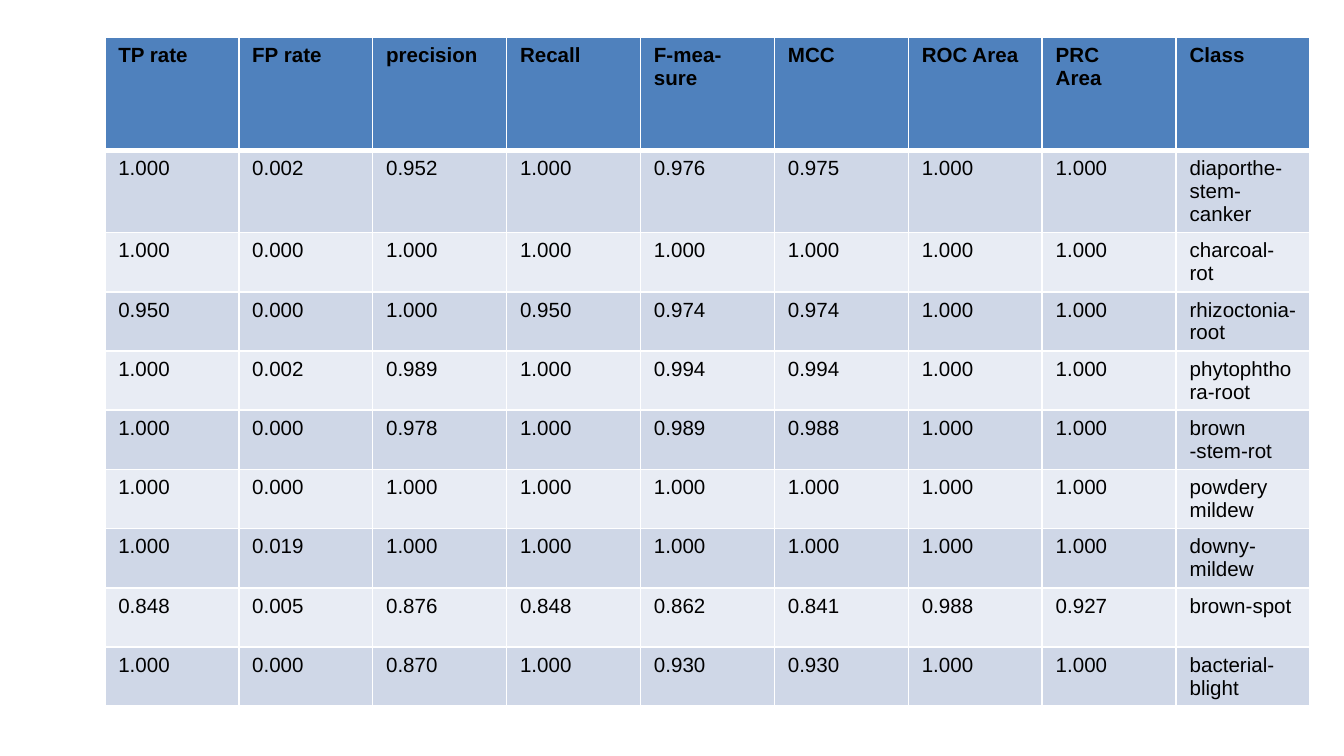
from lxml.etree import SubElement
from pptx import Presentation
from pptx.dml.color import RGBColor as Color
from pptx.oxml.ns import qn
from pptx.util import Inches, Pt

COLORS = {"header": "4F81BD", "odd": "CFD7E7", "even": "E8ECF4",
          "border": "FFFFFF", "text": "000000"}
HEADINGS = ["TP rate", "FP rate", "precision", "Recall", "F-mea-\nsure",
            "MCC", "ROC Area", "PRC\nArea", "Class"]
RESULTS = [
    ("1.000 0.002 0.952 1.000 0.976 0.975 1.000 1.000", "diaporthe-stem-canker"),
    ("1.000 0.000 1.000 1.000 1.000 1.000 1.000 1.000", "charcoal-rot"),
    ("0.950 0.000 1.000 0.950 0.974 0.974 1.000 1.000", "rhizoctonia-root"),
    ("1.000 0.002 0.989 1.000 0.994 0.994 1.000 1.000", "phytophthora-root"),
    ("1.000 0.000 0.978 1.000 0.989 0.988 1.000 1.000", "brown -stem-rot"),
    ("1.000 0.000 1.000 1.000 1.000 1.000 1.000 1.000", "powdery mildew"),
    ("1.000 0.019 1.000 1.000 1.000 1.000 1.000 1.000", "downy-mildew"),
    ("0.848 0.005 0.876 0.848 0.862 0.841 0.988 0.927", "brown-spot"),
    ("1.000 0.000 0.870 1.000 0.930 0.930 1.000 1.000", "bacterial-blight"),
]
rows = [HEADINGS] + [[*rates.split(), name] for rates, name in RESULTS]

SLIDE_WIDTH = 10
SLIDE_HEIGHT = SLIDE_WIDTH * 9 / 16
HEADER_HEIGHT, ROW_HEIGHT = 0.84, 0.44
TABLE_WIDTH = 8.97
TABLE_HEIGHT = HEADER_HEIGHT + ROW_HEIGHT * len(RESULTS)
THIN, THICK = Pt(1), Pt(3)


def set_borders(cell, widths):
    """Draw the cell's edges; must run before the fill is set."""
    properties = cell._tc.get_or_add_tcPr()
    for edge in ("lnL", "lnR", "lnT", "lnB"):
        line = SubElement(properties, qn(f"a:{edge}"), w=str(widths.get(edge, THIN)))
        fill = SubElement(line, qn("a:solidFill"))
        SubElement(fill, qn("a:srgbClr"), val=COLORS["border"])


presentation = Presentation()
presentation.slide_width = Inches(SLIDE_WIDTH)
presentation.slide_height = Inches(SLIDE_HEIGHT)
slide = presentation.slides.add_slide(presentation.slide_layouts[6])

table = slide.shapes.add_table(
    len(rows), len(HEADINGS), Inches(0.78), Inches(0.28),
    Inches(TABLE_WIDTH), Inches(TABLE_HEIGHT)).table
for column in table.columns:
    column.width = Inches(TABLE_WIDTH / len(HEADINGS))

for row_index, texts in enumerate(rows):
    is_header = row_index == 0
    table.rows[row_index].height = Inches(HEADER_HEIGHT if is_header else ROW_HEIGHT)
    fill_name = "header" if is_header else "odd" if row_index % 2 else "even"
    # The header and the first result row share one thick edge
    edges = {0: {"lnB": THICK}, 1: {"lnT": THICK}}.get(row_index, {})
    font_format = {"name": "Arial", "size": Pt(11), "bold": is_header}
    for column_index, text in enumerate(texts):
        cell = table.cell(row_index, column_index)
        set_borders(cell, edges)
        cell.fill.solid()
        cell.fill.fore_color.rgb = Color.from_string(COLORS[fill_name])
        cell.text_frame.text = text
        for paragraph in cell.text_frame.paragraphs:
            font = paragraph.runs[0].font
            for attribute, value in font_format.items():
                setattr(font, attribute, value)
            font.color.rgb = Color.from_string(COLORS["text"])

presentation.save("out.pptx")
